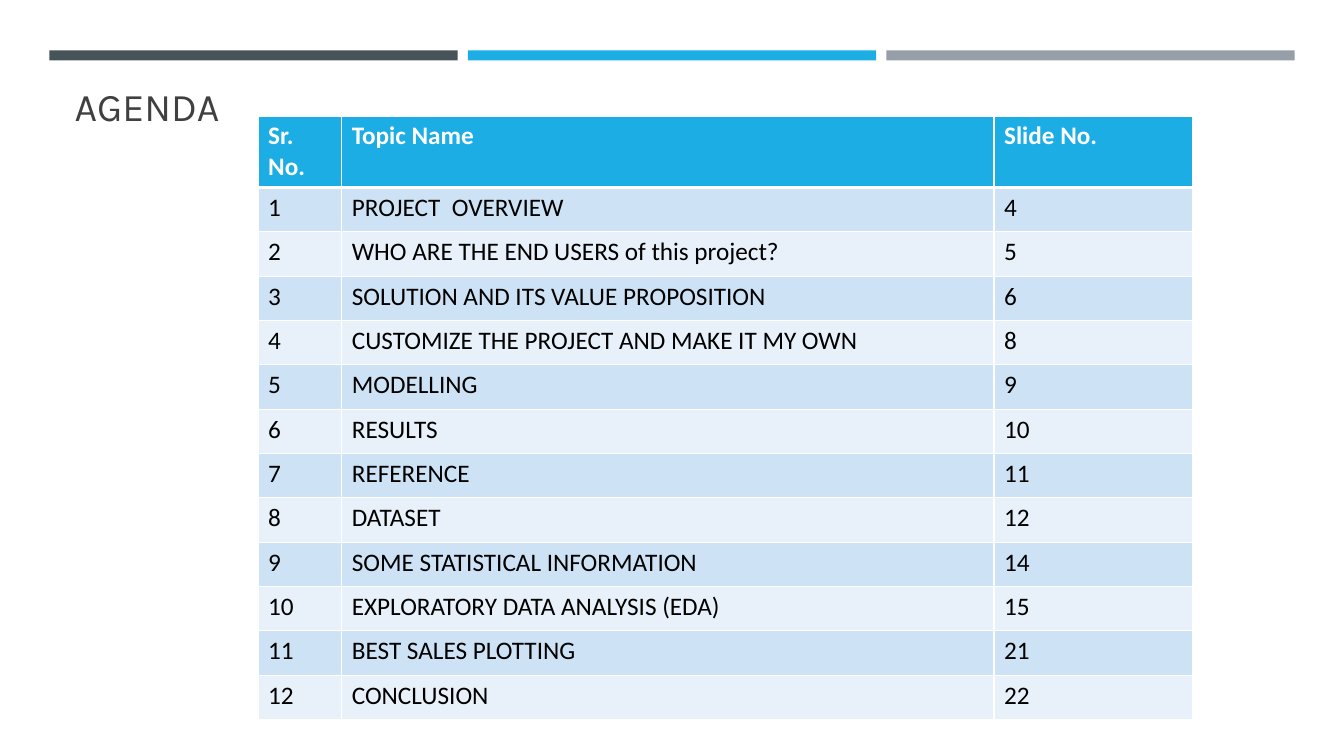
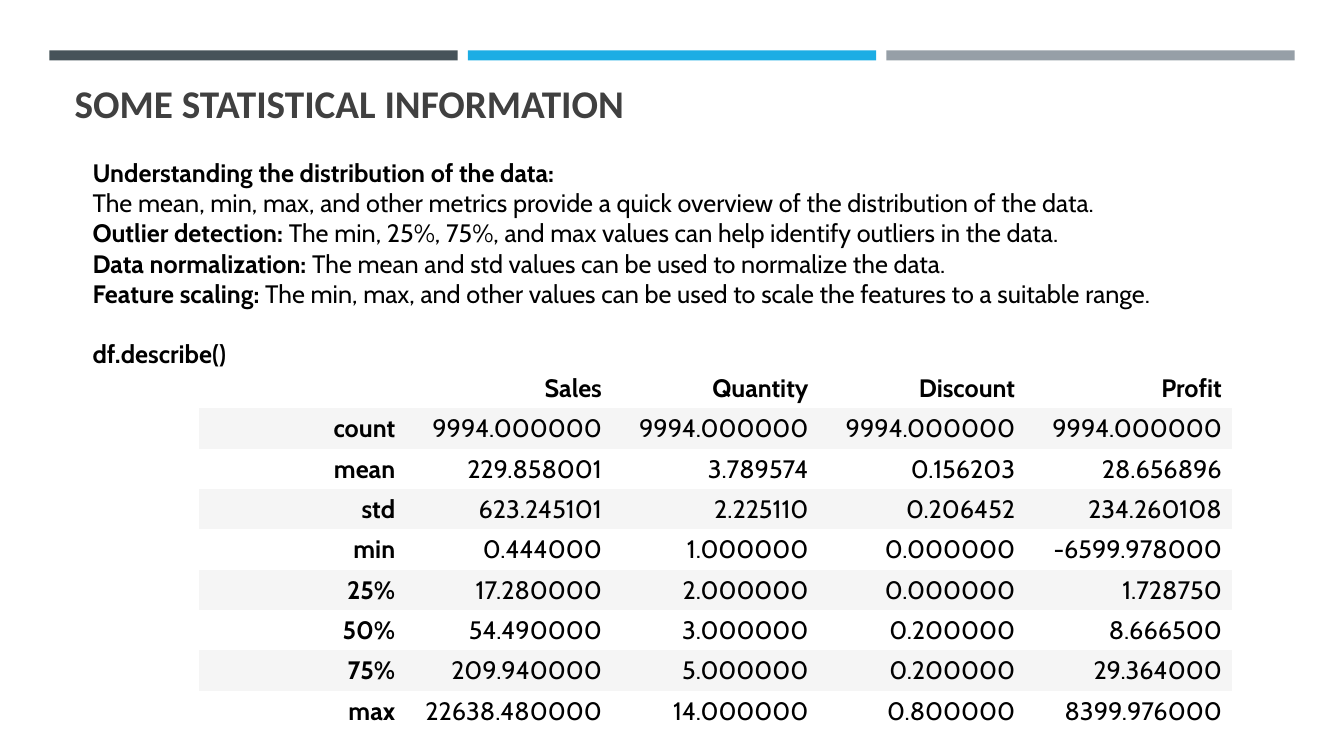
from lxml import etree
from pptx import Presentation
from pptx.dml.color import RGBColor
from pptx.enum.shapes import MSO_SHAPE as Preset
from pptx.enum.text import MSO_ANCHOR as Anchor, MSO_AUTO_SIZE as AutoSize, PP_ALIGN as Align
from pptx.oxml.ns import qn
from pptx.util import Inches, Pt

# Colours
SLATE = RGBColor(0x46, 0x53, 0x59)
BLUE = RGBColor(0x1C, 0xAD, 0xE4)
GREY = RGBColor(0x96, 0x9F, 0xA7)
TITLE_GREY = RGBColor(0x40, 0x40, 0x40)
PALE_BLUE = RGBColor(0xCD, 0xE3, 0xF5)
PALER_BLUE = RGBColor(0xE8, 0xF1, 0xFA)
PALE_GREY = RGBColor(0xF5, 0xF5, 0xF5)
WHITE = RGBColor(0xFF, 0xFF, 0xFF)
BLACK = RGBColor(0, 0, 0)

# Content
AGENDA_HEAD = ("Sr. No.", "Topic Name", "Slide No.")
AGENDA = [
    ("PROJECT  OVERVIEW", 4),
    ("WHO ARE THE END USERS of this project?", 5),
    ("SOLUTION AND ITS VALUE PROPOSITION", 6),
    ("CUSTOMIZE THE PROJECT AND MAKE IT MY OWN", 8),
    ("MODELLING", 9),
    ("RESULTS", 10),
    ("REFERENCE", 11),
    ("DATASET", 12),
    ("SOME STATISTICAL INFORMATION", 14),
    ("EXPLORATORY DATA ANALYSIS (EDA)", 15),
    ("BEST SALES PLOTTING", 21),
    ("CONCLUSION", 22),
]
# Each paragraph is a bold lead and a plain remainder
NOTES = [
    ("Understanding the distribution of the data:", ""),
    ("", "The mean, min, max, and other metrics provide a quick overview "
         "of the distribution of the data."),
    ("Outlier detection: ",
     "The min, 25%, 75%, and max values can help identify outliers in the data."),
    ("Data normalization: ",
     "The mean and std values can be used to normalize the data."),
    ("Feature scaling: ",
     "The min, max, and other values can be used to scale the features to a suitable range."),
    ("df.describe()", ""),
]
STATS_HEAD = ("", "Sales", "Quantity", "Discount", "Profit")
STATS = [
    ("count", 9994, 9994, 9994, 9994),
    ("mean", 229.858001, 3.789574, 0.156203, 28.656896),
    ("std", 623.245101, 2.225110, 0.206452, 234.260108),
    ("min", 0.444, 1, 0, -6599.978),
    ("25%", 17.28, 2, 0, 1.72875),
    ("50%", 54.49, 3, 0.2, 8.6665),
    ("75%", 209.94, 5, 0.2, 29.364),
    ("max", 22638.48, 14, 0.8, 8399.976),
]

# Text formats
AGENDA_TITLE = {"name": "Karla", "size": Pt(28), "bold": False}
STATS_TITLE = {"name": "Calibri", "size": Pt(28), "bold": True}
AGENDA_TEXT = {"name": "Calibri", "size": Pt(18)}
STATS_TEXT = {"name": "Cabin", "size": Pt(18)}


def add_span(para, text, look, color=BLACK, bold=False):
    span = para.add_run()
    span.text = text
    for key, value in {"bold": bold, **look}.items():
        setattr(span.font, key, value)
    span.font.color.rgb = color


def add_bands(layout, page):
    """Draw the three bands and move them to the layout."""
    for index, color in enumerate((SLATE, BLUE, GREY)):
        band = page.shapes.add_shape(
            Preset.RECTANGLE, Inches(0.49 + 4.15 * index), Inches(0.5), Inches(4.05), Inches(0.1))
        band.shadow.inherit = False
        band.fill.solid()
        band.fill.fore_color.rgb = color
        band.line.fill.background()
        band.name = f"Band {index + 1}"
        band.element.nvSpPr.cNvPr.set("id", str(101 + index))
        layout.shapes.element.append(band.element)


def set_title(page, text, look, top, anchor):
    title = page.shapes.title
    place = {"left": 0.64, "top": top, "width": 12.06, "height": 1.3}
    for key, value in place.items():
        setattr(title, key, Inches(value))
    frame = title.text_frame
    frame.auto_size = AutoSize.NONE
    frame.vertical_anchor = anchor
    para = frame.paragraphs[0]
    para.alignment = Align.LEFT
    add_span(para, text, look, TITLE_GREY)


def set_borders(cell, bottom, width):
    """White borders; a width of zero means none."""
    props = cell._tc.get_or_add_tcPr()
    for side, points in (("L", width), ("R", width), ("T", width), ("B", bottom)):
        line = etree.SubElement(props, qn(f"a:ln{side}"), w=str(Pt(points)))
        if points:
            fill = etree.SubElement(line, qn("a:solidFill"))
            etree.SubElement(fill, qn("a:srgbClr"), val=str(WHITE))
        else:
            etree.SubElement(line, qn("a:noFill"))


def add_grid(page, left, top, widths, heights, rows, style):
    """Add a table; style(row, column) gives fill, text colour, bold and borders."""
    table = page.shapes.add_table(
        len(rows), len(widths), Inches(left), Inches(top),
        Inches(sum(widths)), Inches(sum(heights))).table
    table.first_row = table.horz_banding = False
    for column, width in zip(table.columns, widths):
        column.width = Inches(width)
    for r, (row, height) in enumerate(zip(rows, heights)):
        table.rows[r].height = Inches(height)
        for c, text in enumerate(row):
            cell, look = table.cell(r, c), style(r, c)
            set_borders(cell, look["bottom"], look["border"])
            cell.fill.solid()
            cell.fill.fore_color.rgb = look["fill"]
            cell.vertical_anchor = look["anchor"]
            para = cell.text_frame.paragraphs[0]
            para.alignment = look["align"]
            if text:
                add_span(para, text, look["font"], look["color"], look["bold"])


def agenda_style(row, column):
    head = row == 0
    return {"fill": BLUE if head else PALE_BLUE if row % 2 else PALER_BLUE,
            "color": WHITE if head else BLACK, "bold": head, "font": AGENDA_TEXT,
            "border": 1, "bottom": 3 if head else 1,
            "anchor": Anchor.TOP, "align": Align.LEFT}


def stats_style(row, column):
    return {"fill": PALE_GREY if row % 2 else WHITE, "color": BLACK,
            "bold": row == 0 or column == 0, "font": STATS_TEXT,
            "border": 0, "bottom": 0, "anchor": Anchor.MIDDLE, "align": Align.RIGHT}


def build_agenda(page):
    set_title(page, "AGENDA", AGENDA_TITLE, 0.4, Anchor.MIDDLE)
    rows = [AGENDA_HEAD] + [
        (str(number), topic, str(slide)) for number, (topic, slide) in enumerate(AGENDA, 1)]
    add_grid(page, 2.56, 1.15, (0.83, 6.47, 1.97), [0.7] + [0.44] * len(AGENDA),
             rows, agenda_style)


def build_stats(page):
    set_title(page, "SOME STATISTICAL INFORMATION", STATS_TITLE, 0, Anchor.BOTTOM)

    # Notes
    box = page.shapes.add_textbox(Inches(0.82), Inches(1.51), Inches(12.06), Inches(2.22))
    frame = box.text_frame
    frame.word_wrap = True
    for index, (lead, rest) in enumerate(NOTES):
        para = frame.add_paragraph() if index else frame.paragraphs[0]
        for text, bold in ((lead, True), (rest, False)):
            if text:
                add_span(para, text, STATS_TEXT, bold=bold)
    para.space_before = Pt(21.6)

    # Summary table
    rows = [STATS_HEAD] + [
        (label, *(f"{value:.6f}" for value in values)) for label, *values in STATS]
    add_grid(page, 1.97, 3.65, [2.05] * 5, [0.4] * len(rows), rows, stats_style)


def main():
    deck = Presentation()
    deck.slide_width, deck.slide_height = Inches(13.33), Inches(7.5)
    layout = deck.slide_layouts.get_by_name("Title Only")
    pages = [deck.slides.add_slide(layout) for _ in range(2)]
    add_bands(layout, pages[0])
    for page, build in zip(pages, (build_agenda, build_stats)):
        build(page)
    deck.save("out.pptx")


if __name__ == "__main__":
    main()
